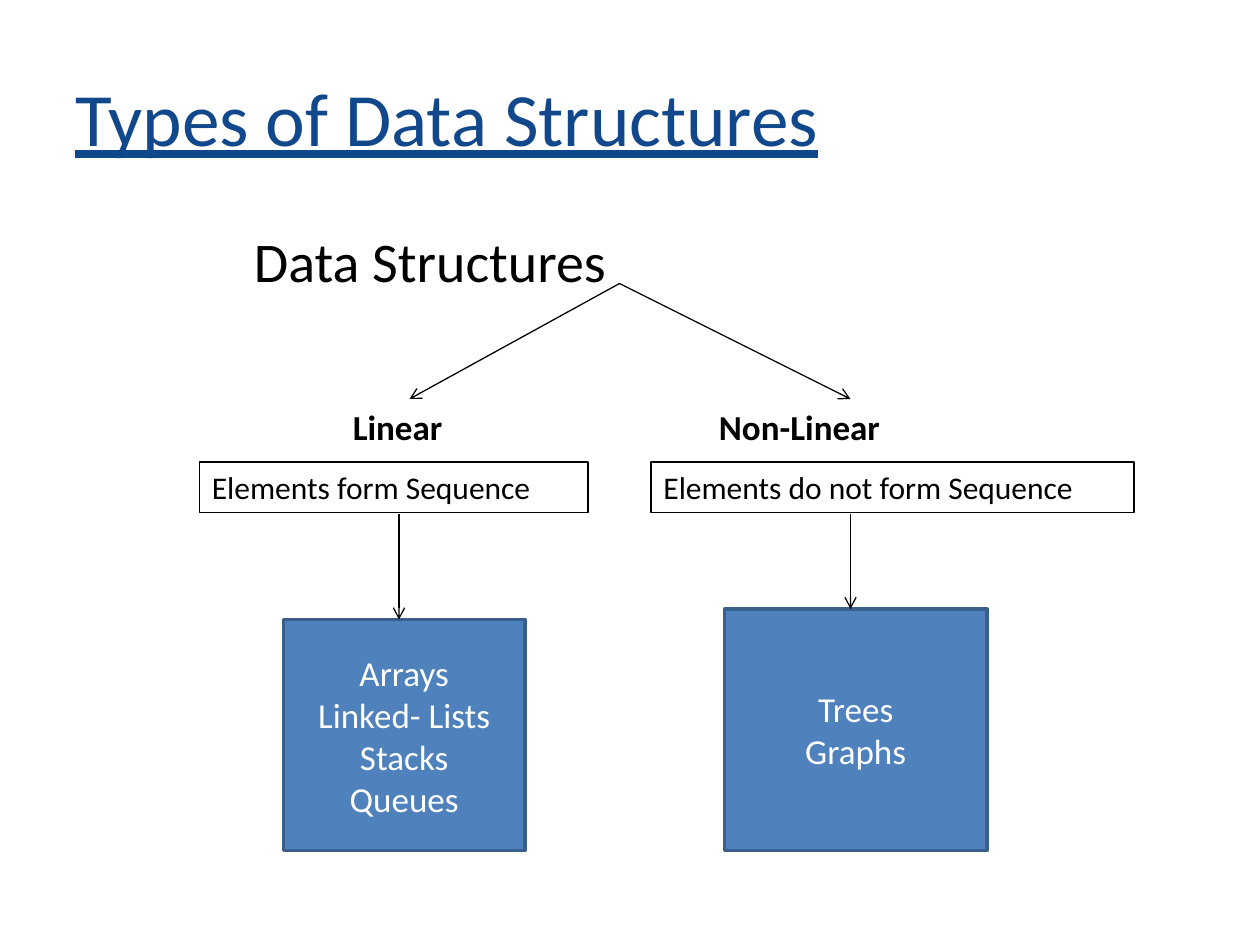
from lxml.etree import SubElement
from pptx import Presentation
from pptx.dml.color import RGBColor
from pptx.enum.shapes import MSO_CONNECTOR, MSO_SHAPE
from pptx.enum.text import MSO_ANCHOR, PP_ALIGN
from pptx.oxml.ns import qn
from pptx.util import Pt

BLACK, WHITE, NAVY = "000000", "FFFFFF", "11478B"
BLUE, BLUE_EDGE = "4F81BD", "3A5F8C"

# Boxes are (left, top, width, height) in points.
TITLE = ("Types of Data Structures", (36, 21.6, 648, 90))
ROOT = ("Data Structures", (138, 126, 230, 46))
ROOT_POINT = (354, 162)
LABEL_TOP, LABEL_HEIGHT = 228, 31.5
RULE_TOP, RULE_HEIGHT = 264, 29
EXAMPLES_BOTTOM = 486

BRANCHES = [
    {"label": "Linear", "label_left": 194.5, "label_width": 80,
     "arrow_x": 234, "rule": "Elements form Sequence", "rule_span": (114, 222),
     "stem_x": 228, "examples": ["Arrays", "Linked- Lists", "Stacks", "Queues"],
     "examples_span": (162, 138), "examples_top": 354},
    {"label": "Non-Linear", "label_left": 403.7, "label_width": 120,
     "arrow_x": 486, "rule": "Elements do not form Sequence", "rule_span": (372, 276),
     "stem_x": 486, "examples": ["Trees", "Graphs"],
     "examples_span": (414, 150), "examples_top": 348},
]


def color(hex_code):
    return RGBColor.from_string(hex_code)


def write(shape, lines, size, ink=BLACK, align=PP_ALIGN.LEFT,
          anchor=MSO_ANCHOR.TOP, **font_format):
    frame = shape.text_frame
    frame.word_wrap = True
    frame.vertical_anchor = anchor
    for index, line in enumerate(lines):
        para = frame.add_paragraph() if index else frame.paragraphs[0]
        para.alignment = align
        span = para.add_run()
        span.text = line
        span.font.color.rgb = color(ink)
        formats = {"name": "Calibri", "size": Pt(size), **font_format}
        for name, value in formats.items():
            setattr(span.font, name, value)


def add_text(page, text, box, size, **options):
    write(page.shapes.add_textbox(*map(Pt, box)), [text], size, **options)


def add_box(page, lines, box, size, fill, edge, edge_width, **options):
    shape = page.shapes.add_shape(MSO_SHAPE.RECTANGLE, *map(Pt, box))
    shape.shadow.inherit = False
    if fill:
        shape.fill.solid()
        shape.fill.fore_color.rgb = color(fill)
    else:
        shape.fill.background()
    shape.line.color.rgb = color(edge)
    shape.line.width = Pt(edge_width)
    write(shape, lines, size, **options)


def add_arrow(page, start, end):
    arrow = page.shapes.add_connector(MSO_CONNECTOR.STRAIGHT, *map(Pt, start + end))
    arrow.line.color.rgb = color(BLACK)
    arrow.line.width = Pt(0.75)
    SubElement(arrow.line._get_or_add_ln(), qn("a:tailEnd"), type="arrow")
    SubElement(arrow._element.spPr, qn("a:effectLst"))


def add_branch(page, branch):
    add_arrow(page, ROOT_POINT, (branch["arrow_x"], LABEL_TOP))
    add_text(page, branch["label"],
             (branch["label_left"], LABEL_TOP, branch["label_width"], LABEL_HEIGHT),
             20, bold=True)

    left, width = branch["rule_span"]
    add_box(page, [branch["rule"]], (left, RULE_TOP, width, RULE_HEIGHT),
            18, None, BLACK, 0.75)

    left, width = branch["examples_span"]
    top = branch["examples_top"]
    add_box(page, branch["examples"], (left, top, width, EXAMPLES_BOTTOM - top),
            20, BLUE, BLUE_EDGE, 2, ink=WHITE,
            align=PP_ALIGN.CENTER, anchor=MSO_ANCHOR.MIDDLE)
    add_arrow(page, (branch["stem_x"], RULE_TOP + RULE_HEIGHT + 1),
              (branch["stem_x"], top))


def main():
    deck = Presentation()
    deck.slide_width, deck.slide_height = Pt(720), Pt(540)
    page = deck.slides.add_slide(deck.slide_layouts[6])
    add_text(page, *TITLE, 43, ink=NAVY, anchor=MSO_ANCHOR.MIDDLE, underline=True)
    add_text(page, *ROOT, 32)
    for branch in BRANCHES:
        add_branch(page, branch)
    deck.save("out.pptx")


if __name__ == "__main__":
    main()
